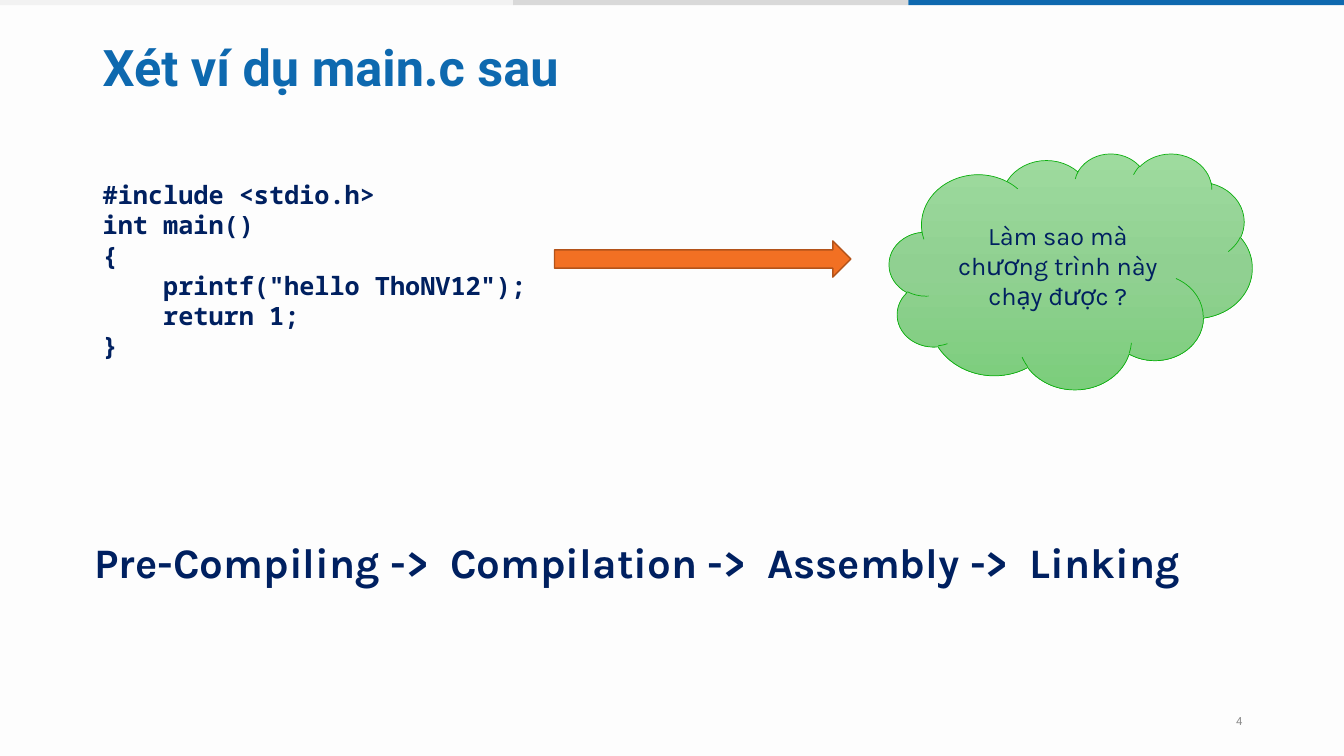
from copy import deepcopy

from pptx import Presentation
from pptx.dml.color import RGBColor
from pptx.enum.shapes import MSO_SHAPE
from pptx.enum.text import MSO_ANCHOR, PP_ALIGN
from pptx.oxml.ns import qn
from pptx.util import Inches, Pt

COLORS = {
    "background": "FDFDFD",
    "blue": "0E69AF",
    "gray": "D9D9D9",
    "light_gray": "F2F2F2",
    "page_number": "8C8C8C",
    "navy": "002060",
    "orange": "F27023",
    "orange_line": "B3531A",
    "cloud_top": "9EDB9E",
    "cloud_middle": "90D091",
    "cloud_bottom": "7CCE7C",
    "cloud_line": "0DB00F",
}
CODE_LINES = [
    (0, "#include <stdio.h>"),
    (0, "int main()"),
    (0, "{"),
    (1, 'printf("hello ThoNV12");'),
    (1, "return 1;"),
    (0, "}"),
]
CODE_INDENT = Inches(0.6)


def color(name):
    return RGBColor.from_string(COLORS[name])


def add_run(paragraph, text, size, font_name, color_name, bold=False):
    run = paragraph.add_run()
    run.text = text
    run.font.size = Pt(size)
    run.font.name = font_name
    run.font.bold = bold
    run.font.color.rgb = color(color_name)


def add_text_box(slide, box, anchor=MSO_ANCHOR.TOP):
    """Add an empty wrapping text box and return its text frame."""
    frame = slide.shapes.add_textbox(*map(Inches, box)).text_frame
    frame.word_wrap = True
    frame.vertical_anchor = anchor
    return frame


def add_plain_shape(slide, kind, box):
    shape = slide.shapes.add_shape(kind, *map(Inches, box))
    shape.shadow.inherit = False
    return shape


def add_top_bar(slide, box):
    """Split the strip into three coloured parts."""
    left, top, width, height = box
    edges = [0, 5.09, 9.01, width]
    names = ["light_gray", "gray", "blue"]
    for name, start, end in zip(names, edges, edges[1:]):
        part = add_plain_shape(slide, MSO_SHAPE.RECTANGLE, (left + start, top, end - start, height))
        part.fill.solid()
        part.fill.fore_color.rgb = color(name)
        part.line.fill.background()


def add_title(slide, box):
    paragraph = add_text_box(slide, box, MSO_ANCHOR.MIDDLE).paragraphs[0]
    paragraph.line_spacing = 0.9
    add_run(paragraph, "Xét ví dụ main.c sau", 36, "Roboto", "blue", bold=True)


def add_code(slide, box):
    frame = add_text_box(slide, box)
    for index, (level, text) in enumerate(CODE_LINES):
        paragraph = frame.add_paragraph() if index else frame.paragraphs[0]
        properties = paragraph._p.get_or_add_pPr()
        properties.set("marL", str(level * CODE_INDENT))
        properties.set("indent", "0")
        add_run(paragraph, text, 18, "Noto Sans Mono", "navy", bold=True)


def add_arrow(slide, box):
    arrow = add_plain_shape(slide, MSO_SHAPE.RIGHT_ARROW, box)
    arrow.fill.solid()
    arrow.fill.fore_color.rgb = color("orange")
    arrow.line.color.rgb = color("orange_line")
    arrow.line.width = Pt(1)


def add_question_cloud(slide, box):
    cloud = add_plain_shape(slide, MSO_SHAPE.CLOUD, box)
    cloud.fill.gradient()
    cloud.fill.gradient_angle = 270
    first_stop = cloud._element.spPr.find(qn("a:gradFill")).find(qn("a:gsLst"))[0]
    first_stop.addnext(deepcopy(first_stop))
    names = ["cloud_top", "cloud_middle", "cloud_bottom"]
    for index, (stop, name) in enumerate(zip(cloud.fill.gradient_stops, names)):
        stop.position = index / 2
        stop.color.rgb = color(name)
    cloud.line.color.rgb = color("cloud_line")
    cloud.line.width = Pt(0.5)

    frame = cloud.text_frame
    frame.word_wrap = True
    frame.vertical_anchor = MSO_ANCHOR.MIDDLE
    paragraph = frame.paragraphs[0]
    paragraph.alignment = PP_ALIGN.CENTER
    add_run(paragraph, "Làm sao mà chương trình này chạy được ?", 18, "Karla", "navy")


def add_build_steps(slide, box):
    paragraph = add_text_box(slide, box).paragraphs[0]
    steps = ["Pre-Compiling", "Compilation", "Assembly", "Linking"]
    add_run(paragraph, " ->  ".join(steps), 30, "Karla", "navy", bold=True)


def add_page_number(slide, box):
    paragraph = add_text_box(slide, box, MSO_ANCHOR.MIDDLE).paragraphs[0]
    paragraph.alignment = PP_ALIGN.RIGHT
    add_run(paragraph, "4", 8, "Roboto", "page_number")


def main():
    presentation = Presentation()
    presentation.slide_width = Inches(13.33)
    presentation.slide_height = Inches(7.5)
    slide = presentation.slides.add_slide(presentation.slide_layouts[6])
    slide.background.fill.solid()
    slide.background.fill.fore_color.rgb = color("background")

    add_top_bar(slide, (0, 0, 13.33, 0.05))
    add_page_number(slide, (9.42, 6.95, 3, 0.4))
    add_title(slide, (0.92, 0.15, 11.5, 1.1))
    add_code(slide, (0.92, 1.73, 4.9, 1.92))
    add_arrow(slide, (5.5, 2.39, 2.94, 0.36))
    add_question_cloud(slide, (8.82, 1.52, 3.6, 2.34))
    add_build_steps(slide, (0.84, 5.27, 12.27, 1.11))
    presentation.save("out.pptx")


if __name__ == "__main__":
    main()
